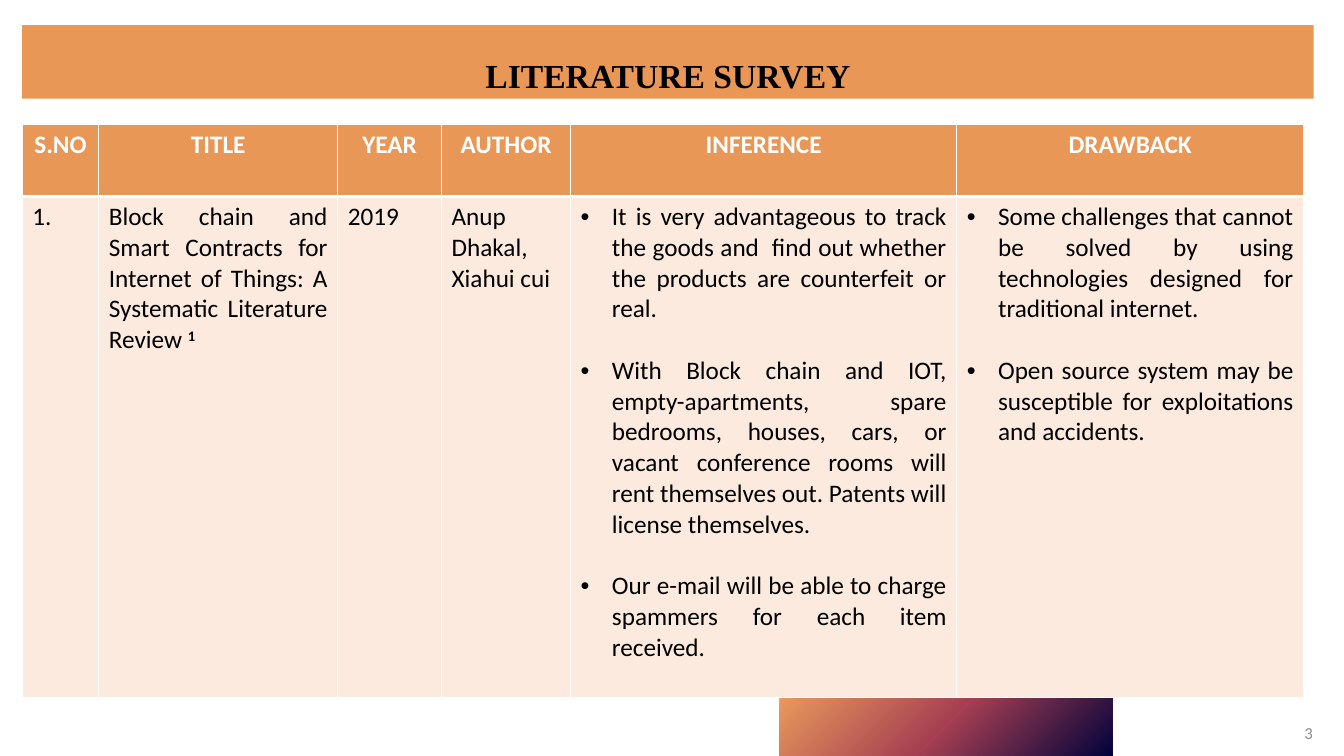
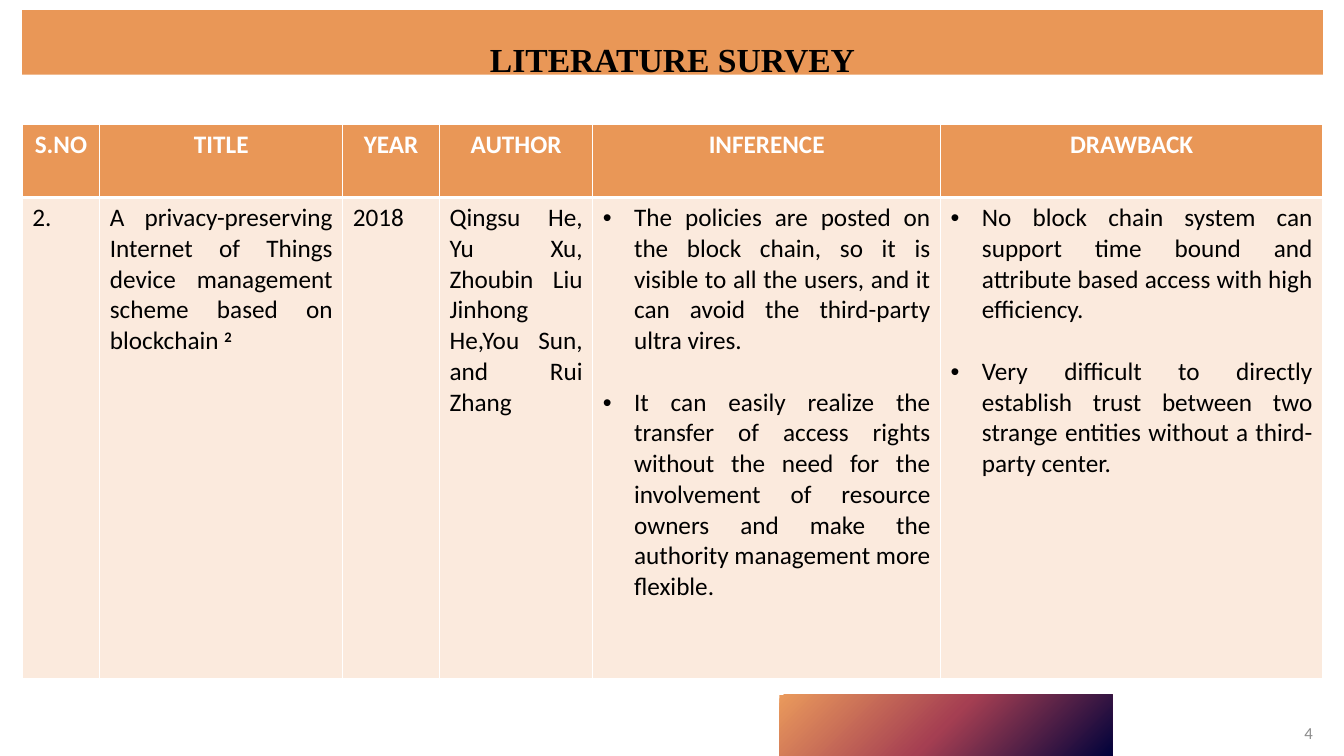
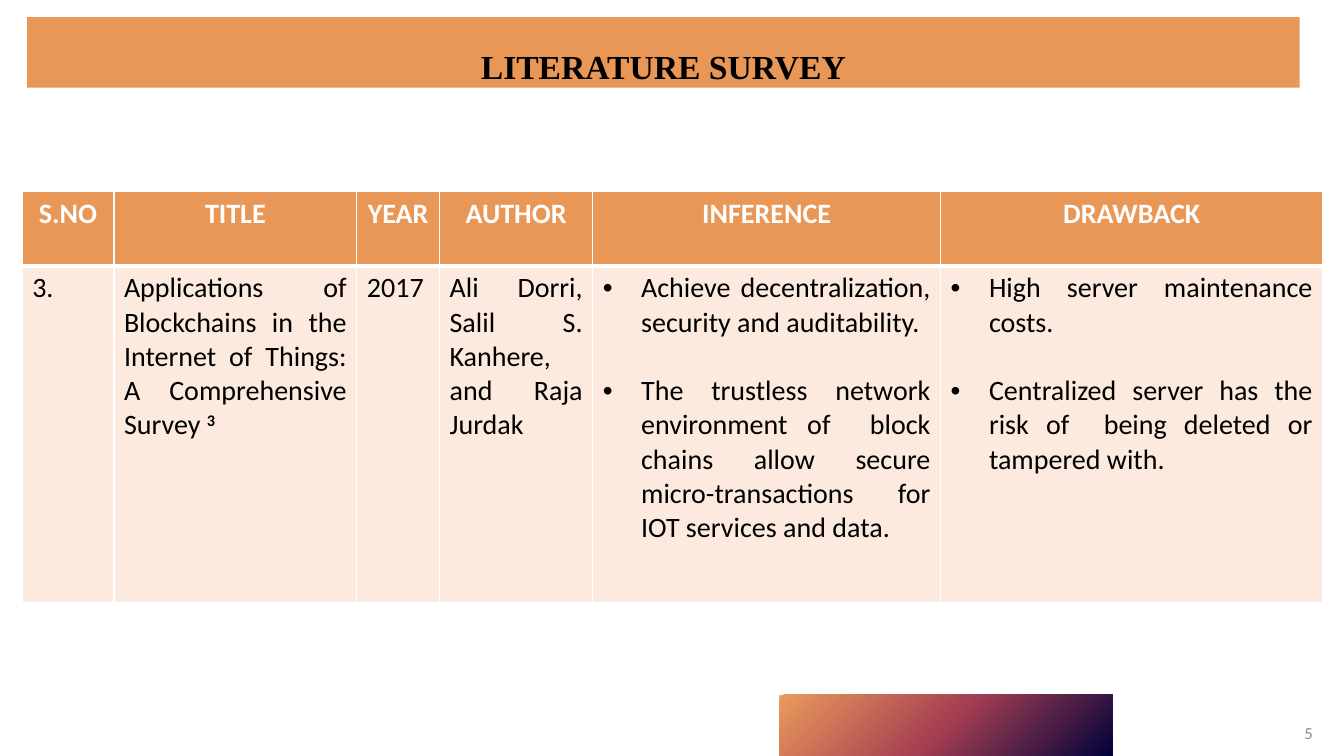
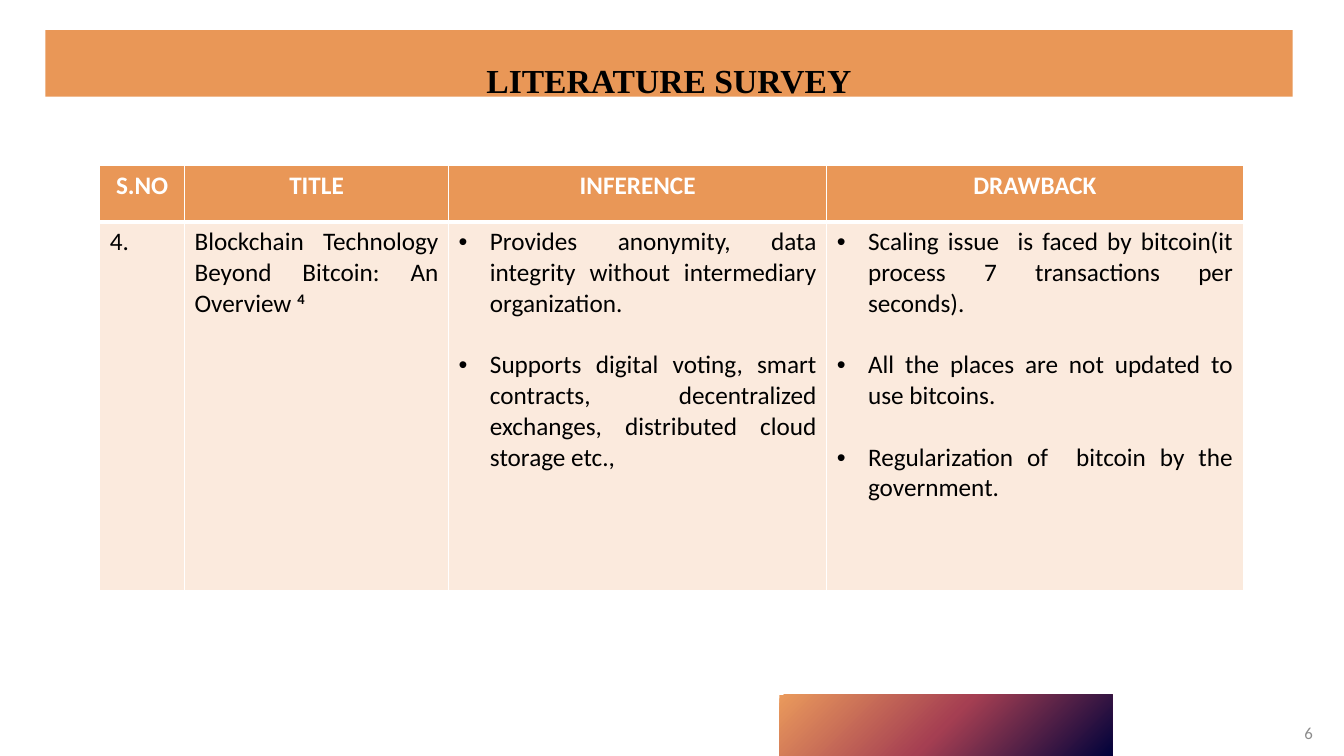
from dataclasses import dataclass

from lxml import etree
from pptx import Presentation, util as u
from pptx.dml.color import RGBColor
from pptx.enum import shapes, text
from pptx.oxml.ns import nsdecls, qn


@dataclass(frozen=True)
class Theme:
    orange: str = "E99757"
    peach: str = "FBEADD"
    white: str = "FFFFFF"
    black: str = "000000"
    grey: str = "8C8C8C"
    glow: tuple = ((0, "01023B"), (50, "A53F52"), (100, "EA9A5C"))
    title_font: str = "Times New Roman"
    body_font: str = "Calibri"
    title_size: int = 24
    number_size: int = 12
    line_height: float = 1.22


theme = Theme()

# Surveyed papers, one slide each
SIX_HEADINGS = ["S.NO", "TITLE", "YEAR", "AUTHOR", "INFERENCE", "DRAWBACK"]
FOUR_HEADINGS = ["S.NO", "TITLE", "INFERENCE", "DRAWBACK"]

surveys = [
    dict(
        band=(0.22, 0.25, 12.81, 0.73), corner=(0.22, 1.23),
        columns=[0.76, 2.37, 1.03, 1.28, 3.83, 3.44], rows=[0.72, 4.97],
        size=18, indent=0.31, headings=SIX_HEADINGS,
        entries=[
            "Block chain and Smart Contracts for Internet of Things: "
            "A Systematic Literature Review ",
            "2019",
            "Anup Dhakal, Xiahui cui",
            ["It is very advantageous to track the goods and  find out whether "
             "the products are counterfeit or real.",
             "With Block chain and IOT, empty-apartments, spare bedrooms, houses, "
             "cars, or vacant conference rooms will rent themselves out. "
             "Patents will license themselves.",
             "Our e-mail will be able to charge spammers for each item received."],
            ["Some challenges that cannot be solved by using technologies "
             "designed for traditional internet.",
             "Open source system may be susceptible for exploitations "
             "and accidents."],
        ],
    ),
    dict(
        band=(0.22, 0.1, 12.9, 0.64), corner=(0.22, 1.23),
        columns=[0.77, 2.41, 0.96, 1.52, 3.45, 3.79], rows=[0.73, 4.77],
        size=18, indent=0.31, headings=SIX_HEADINGS,
        entries=[
            "A privacy-preserving Internet of Things device management scheme "
            "based on blockchain ",
            "2018",
            "Qingsu He, Yu Xu, Zhoubin Liu Jinhong He,You Sun, and Rui Zhang",
            ["The policies are posted on the block chain, so it is visible to all "
             "the users, and it can avoid the third-party ultra vires.",
             "It can easily realize the transfer of access rights without the need "
             "for the involvement of resource owners and make the authority "
             "management more flexible."],
            ["No block chain system can support time bound and attribute based "
             "access with high efficiency.",
             "Very difficult to directly establish trust between two strange "
             "entities without a third-party center."],
        ],
    ),
    dict(
        band=(0.27, 0.17, 12.62, 0.7), corner=(0.22, 1.9),
        columns=[0.91, 2.41, 0.82, 1.52, 3.45, 3.79], rows=[0.74, 3.34],
        size=20, indent=0.38, headings=SIX_HEADINGS,
        entries=[
            "Applications of Blockchains in the Internet of Things: "
            "A Comprehensive Survey ",
            "2017",
            "Ali Dorri, Salil S. Kanhere, and Raja Jurdak",
            ["Achieve decentralization, security and auditability.",
             "The trustless network environment of  block chains allow secure "
             "micro-transactions for IOT services and data."],
            ["High server maintenance costs.",
             "Centralized server has the risk of  being deleted or "
             "tampered with."],
        ],
    ),
    dict(
        band=(0.45, 0.3, 12.37, 0.66), corner=(0.99, 1.64),
        columns=[0.84, 2.62, 3.75, 4.13], rows=[0.56, 3.66],
        size=18, indent=0.31, headings=FOUR_HEADINGS,
        entries=[
            "Blockchain Technology Beyond Bitcoin: An Overview ",
            ["Provides anonymity, data integrity without intermediary "
             "organization.",
             "Supports digital voting, smart contracts, decentralized exchanges, "
             "distributed cloud storage etc.,"],
            ["Scaling issue  is faced by bitcoin(it process 7 transactions "
             "per seconds).",
             "All the places are not updated to use bitcoins.",
             "Regularization of  bitcoin by the government."],
        ],
    ),
]


def style(run, size, color, font=theme.body_font, bold=False):
    run.font.size = u.Pt(size)
    run.font.name = font
    run.font.bold = bold
    run.font.color.rgb = RGBColor.from_string(color)


def paint_cell(cell, color, top, bottom):
    properties = cell._tc.get_or_add_tcPr()
    for side, width in (("L", 1), ("R", 1), ("T", top), ("B", bottom)):
        properties.append(etree.fromstring(
            f'<a:ln{side} {nsdecls("a")} w="{u.Pt(width)}"><a:solidFill>'
            f'<a:srgbClr val="{theme.white}"/></a:solidFill></a:ln{side}>'))
    cell.fill.solid()
    cell.fill.fore_color.rgb = RGBColor.from_string(color)


prs = Presentation()
prs.slide_width, prs.slide_height = u.Inches(13.33), u.Inches(7.5)

for number, survey in enumerate(surveys, start=1):
    slide = prs.slides.add_slide(prs.slide_layouts[6])

    # Glowing block at the bottom edge
    glow = slide.shapes.add_shape(
        shapes.MSO_SHAPE.RECTANGLE, *map(u.Inches, (7.73, 6.89, 3.3, 0.61)))
    glow.shadow.inherit = False
    glow.line.fill.background()
    stops = "".join(f'<a:gs pos="{place * 1000}"><a:srgbClr val="{color}"/></a:gs>'
                    for place, color in theme.glow)
    glow._element.spPr.find(qn("a:prstGeom")).addnext(etree.fromstring(
        f'<a:gradFill {nsdecls("a")}><a:gsLst>{stops}</a:gsLst><a:path path="circle">'
        '<a:fillToRect l="100000" t="100000"/></a:path></a:gradFill>'))

    # Title band
    band = slide.shapes.add_shape(
        shapes.MSO_SHAPE.RECTANGLE, *map(u.Inches, survey["band"]))
    band.shadow.inherit = False
    band.line.fill.background()
    band.fill.solid()
    band.fill.fore_color.rgb = RGBColor.from_string(theme.orange)
    title = band.text_frame
    title.vertical_anchor = text.MSO_ANCHOR.TOP
    title.margin_top, title.margin_bottom = u.Inches(0.29), 0
    title.text = "LITERATURE SURVEY"
    title.paragraphs[0].alignment = text.PP_ALIGN.CENTER
    style(title.paragraphs[0].runs[0], theme.title_size, theme.black,
          theme.title_font, bold=True)

    # Page number
    page = slide.shapes.add_textbox(
        *map(u.Inches, (12.63, 7.07, 0.49, 0.4))).text_frame
    page.word_wrap = True
    page.vertical_anchor = text.MSO_ANCHOR.MIDDLE
    page.text = str(number + 2)
    page.paragraphs[0].alignment = text.PP_ALIGN.RIGHT
    style(page.paragraphs[0].runs[0], theme.number_size, theme.grey)

    # Survey table
    columns, rows, size = survey["columns"], survey["rows"], survey["size"]
    grid = slide.shapes.add_table(
        2, len(columns), *map(u.Inches, (*survey["corner"], sum(columns), sum(rows)))).table
    grid.first_row = grid.horz_banding = False
    for row, height in zip(grid.rows, rows):
        row.height = u.Inches(height)

    entries = [f"{number}."] + survey["entries"]
    for index, (width, heading, entry) in enumerate(
            zip(columns, survey["headings"], entries)):
        grid.columns[index].width = u.Inches(width)

        # Heading cell
        head = grid.cell(0, index)
        paint_cell(head, theme.orange, top=1, bottom=3)
        head.text_frame.text = heading
        head.text_frame.paragraphs[0].alignment = text.PP_ALIGN.CENTER
        style(head.text_frame.paragraphs[0].runs[0], size, theme.white, bold=True)

        # Entry cell: a list becomes bullets
        body = grid.cell(1, index)
        paint_cell(body, theme.peach, top=3, bottom=1)
        bulleted = isinstance(entry, list)
        body.text_frame.text = "\n".join(entry) if bulleted else entry
        for position, paragraph in enumerate(body.text_frame.paragraphs):
            paragraph.alignment = text.PP_ALIGN.JUSTIFY
            if bulleted:
                indent = u.Inches(survey["indent"])
                properties = paragraph._p.get_or_add_pPr()
                properties.set("marL", str(indent))
                properties.set("indent", str(-indent))
                etree.SubElement(properties, qn("a:buFont")).set("typeface", "Arial")
                etree.SubElement(properties, qn("a:buChar")).set("char", "•")
            if position:
                paragraph.space_before = u.Pt(round(size * theme.line_height, 1))
            style(paragraph.runs[0], size, theme.black)

        # Reference mark after the paper's title
        if heading == "TITLE":
            mark = body.text_frame.paragraphs[0].add_run()
            mark.text = str(number)
            style(mark, size, theme.black, bold=True)
            mark.font._element.set("baseline", "30000")

prs.save("out.pptx")
